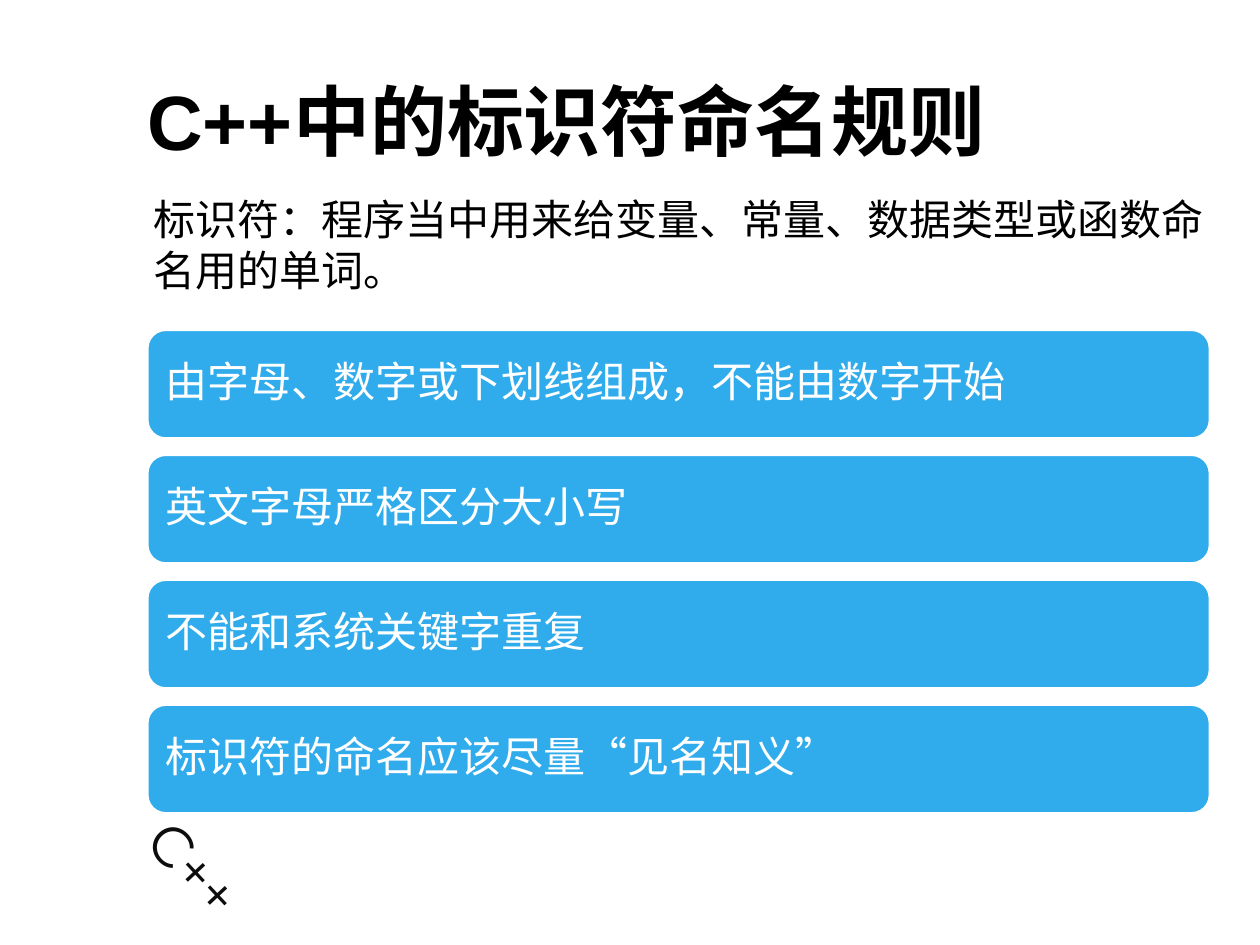
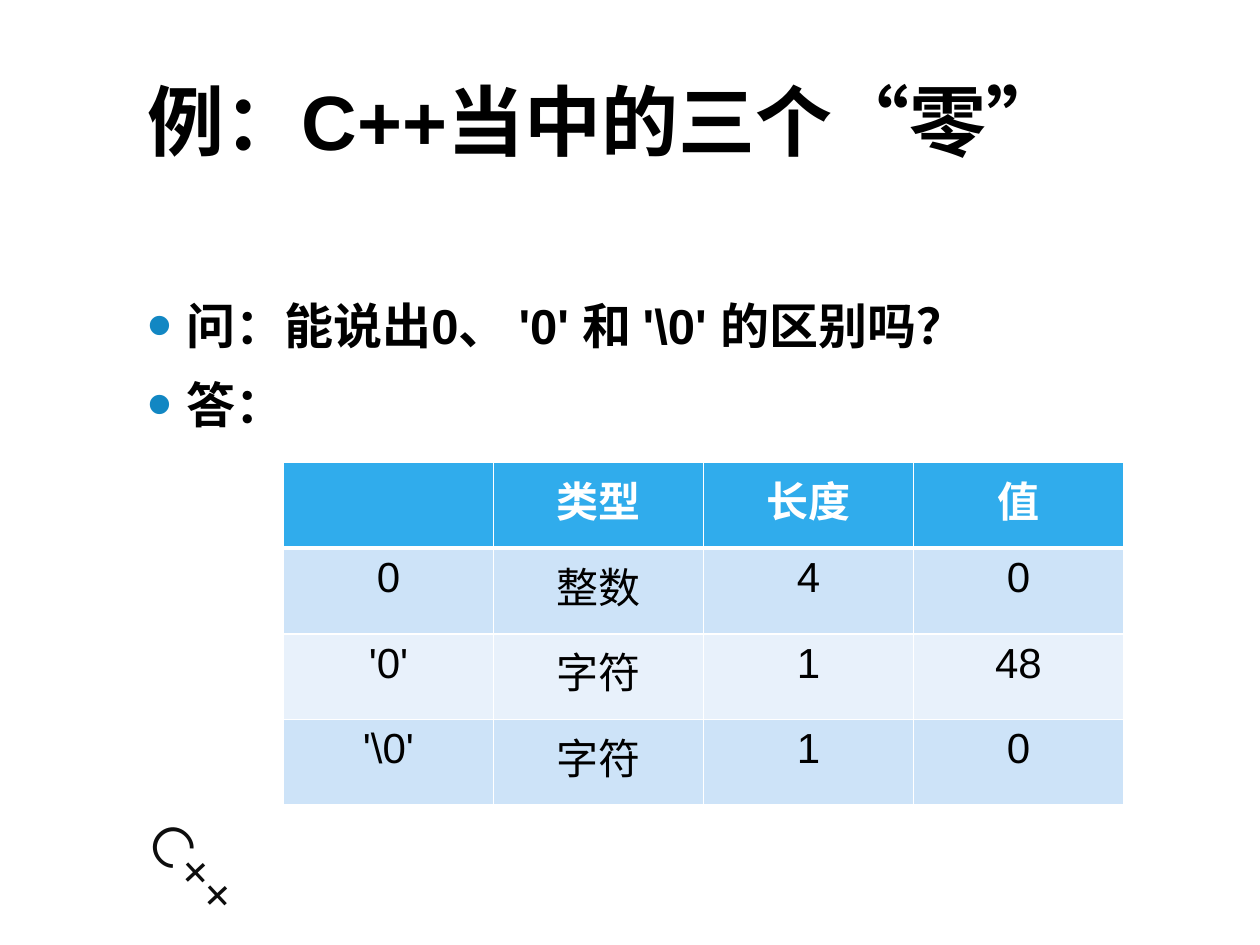
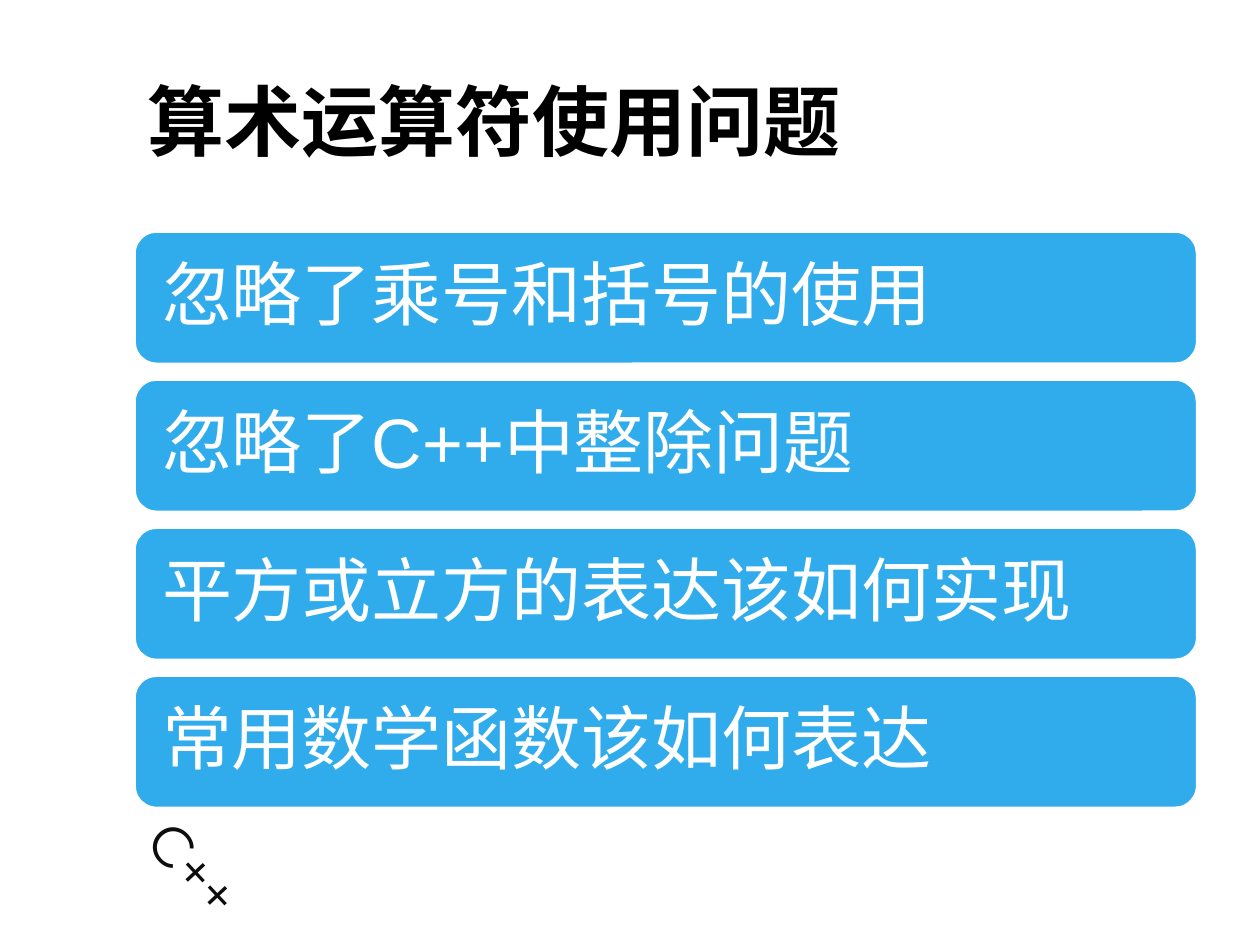
from lxml.etree import SubElement
from pptx import Presentation
from pptx.dml.color import RGBColor
from pptx.enum.shapes import MSO_SHAPE
from pptx.enum.text import MSO_ANCHOR, MSO_AUTO_SIZE, PP_ALIGN
from pptx.oxml.ns import qn
from pptx.util import Pt

COLORS = {
    "text": "000000",
    "mark": "0D0D0D",
    "white": "FFFFFF",
    "bar": "30ACEC",
    "bullet": "1287C3",
    "band": "CDE3F8",
    "band_light": "E8F1FB",
}
FONT = "Arial"
TITLE_ONLY, TITLE_BODY = 5, 1
LEFT, WIDTH = 77, 607


def rgb(name):
    return RGBColor.from_string(COLORS[name])


def apply(obj, values):
    for name, value in values.items():
        setattr(obj, name, value)


def place(sp, left, top, width, height):
    box = zip(("left", "top", "width", "height"), (left, top, width, height))
    apply(sp, {name: Pt(value) for name, value in box})


def write(p, text, size, color="text", bold=False, font=FONT, **layout):
    apply(p, layout)
    r = p.add_run()
    r.text = text
    apply(r.font, {"name": font, "size": Pt(size), "bold": bold})
    r.font.color.rgb = rgb(color)


def add_bullet(p):
    pPr = p._p.get_or_add_pPr()
    apply_indent = {"marL": Pt(22.5), "indent": Pt(-22.5)}
    for name, value in apply_indent.items():
        pPr.set(name, str(int(value)))
    clr = SubElement(pPr, qn("a:buClr"))
    SubElement(clr, qn("a:srgbClr"), val=COLORS["bullet"])
    SubElement(pPr, qn("a:buSzPct"), val="145000")
    SubElement(pPr, qn("a:buFont"), typeface=FONT)
    SubElement(pPr, qn("a:buChar"), char="•")


def add_slide(prs, layout, title):
    slide = prs.slides.add_slide(prs.slide_layouts[layout])
    sp = slide.shapes.title
    place(sp, LEFT, 20.9, WIDTH, 95)
    tf = sp.text_frame
    apply(tf, {"vertical_anchor": MSO_ANCHOR.MIDDLE, "word_wrap": True,
               "auto_size": MSO_AUTO_SIZE.NONE})
    write(tf.paragraphs[0], title, 44, bold=True, alignment=PP_ALIGN.LEFT)
    return slide


def add_text(slide, text, size, box, **style):
    sp = slide.shapes.add_textbox(*map(Pt, box))
    sp.text_frame.word_wrap = True
    write(sp.text_frame.paragraphs[0], text, size, **style)
    return sp


def add_master_mark(prs, slide):
    sp = add_text(slide, "C++", 32, (67.7, 488.2, 115.9, 46),
                  color="mark", font="Montserrat")
    sp.rotation = 46.9
    prs.slide_master.shapes.element.append(sp.element)


def add_bars(slide, texts, size, left, top, height, pitch, inset):
    for i, text in enumerate(texts):
        sp = slide.shapes.add_shape(MSO_SHAPE.ROUNDED_RECTANGLE, Pt(left),
                                    Pt(top + i * pitch), Pt(WIDTH), Pt(height))
        sp.shadow.inherit = False
        sp.fill.solid()
        sp.fill.fore_color.rgb = rgb("bar")
        sp.line.color.rgb = rgb("white")
        sp.line.width = Pt(1.25)
        tf = sp.text_frame
        margins = ("margin_left", "margin_top", "margin_right", "margin_bottom")
        apply(tf, dict.fromkeys(margins, Pt(inset)))
        apply(tf, {"vertical_anchor": MSO_ANCHOR.MIDDLE, "word_wrap": True})
        write(tf.paragraphs[0], text, size, "white",
              alignment=PP_ALIGN.LEFT, line_spacing=0.9)


def add_list(slide, items):
    sp = slide.placeholders[1]
    place(sp, LEFT, 165.3, WIDTH, 92)
    tf = sp.text_frame
    apply(tf, {"vertical_anchor": MSO_ANCHOR.TOP, "word_wrap": True,
               "auto_size": MSO_AUTO_SIZE.NONE})
    for i, text in enumerate(items):
        p = tf.add_paragraph() if i else tf.paragraphs[0]
        add_bullet(p)
        write(p, text, 28, bold=True,
              space_before=Pt(5.6 if i else 0), space_after=Pt(6))


def set_borders(cell, header):
    tcPr = cell._tc.get_or_add_tcPr()
    for i, side in enumerate(("lnL", "lnR", "lnT", "lnB")):
        width = Pt(3 if header and side == "lnB" else 1)
        ln = tcPr.makeelement(qn(f"a:{side}"), {"w": str(int(width))})
        fill = SubElement(ln, qn("a:solidFill"))
        SubElement(fill, qn("a:srgbClr"), val=COLORS["white"])
        tcPr.insert(i, ln)


def add_grid(slide, rows):
    frame = slide.shapes.add_table(len(rows), len(rows[0]), Pt(162), Pt(264.2),
                                   Pt(480), Pt(196))
    for i, row in enumerate(rows):
        header = i == 0
        fill = "bar" if header else ("band_light", "band")[i % 2]
        for j, text in enumerate(row):
            cell = frame.table.cell(i, j)
            cell.fill.solid()
            cell.fill.fore_color.rgb = rgb(fill)
            set_borders(cell, header or None)
            if text:
                write(cell.text_frame.paragraphs[0], text, 24,
                      "white" if header else "text", header,
                      alignment=PP_ALIGN.CENTER)


def main():
    prs = Presentation()
    apply(prs, {"slide_width": Pt(720), "slide_height": Pt(540)})

    naming = add_slide(prs, TITLE_ONLY, "C++中的标识符命名规则")
    add_master_mark(prs, naming)
    add_bars(naming, ["由字母、数字或下划线组成，不能由数字开始",
                      "英文字母严格区分大小写",
                      "不能和系统关键字重复",
                      "标识符的命名应该尽量“见名知义”"],
             24, 84.3, 188.6, 61.9, 71.4, 7.2)
    add_text(naming, "标识符：程序当中用来给变量、常量、数据类型或函数命名用的单词。",
             24, (80.9, 107.3, 617, 65.5))

    zeros = add_slide(prs, TITLE_BODY, "例：C++当中的三个“零”")
    add_list(zeros, ["问：能说出0、 '0' 和 '\\0' 的区别吗？", "答："])
    add_grid(zeros, [["", "类型", "长度", "值"],
                     ["0", "整数", "4", "0"],
                     ["'0'", "字符", "1", "48"],
                     ["'\\0'", "字符", "1", "0"]])

    operators = add_slide(prs, TITLE_ONLY, "算术运算符使用问题")
    add_bars(operators, ["忽略了乘号和括号的使用",
                         "忽略了C++中整除问题",
                         "平方或立方的表达该如何实现",
                         "常用数学函数该如何表达"],
             40, LEFT, 132.4, 75.4, 84.6, 12)

    prs.save("out.pptx")


if __name__ == "__main__":
    main()
